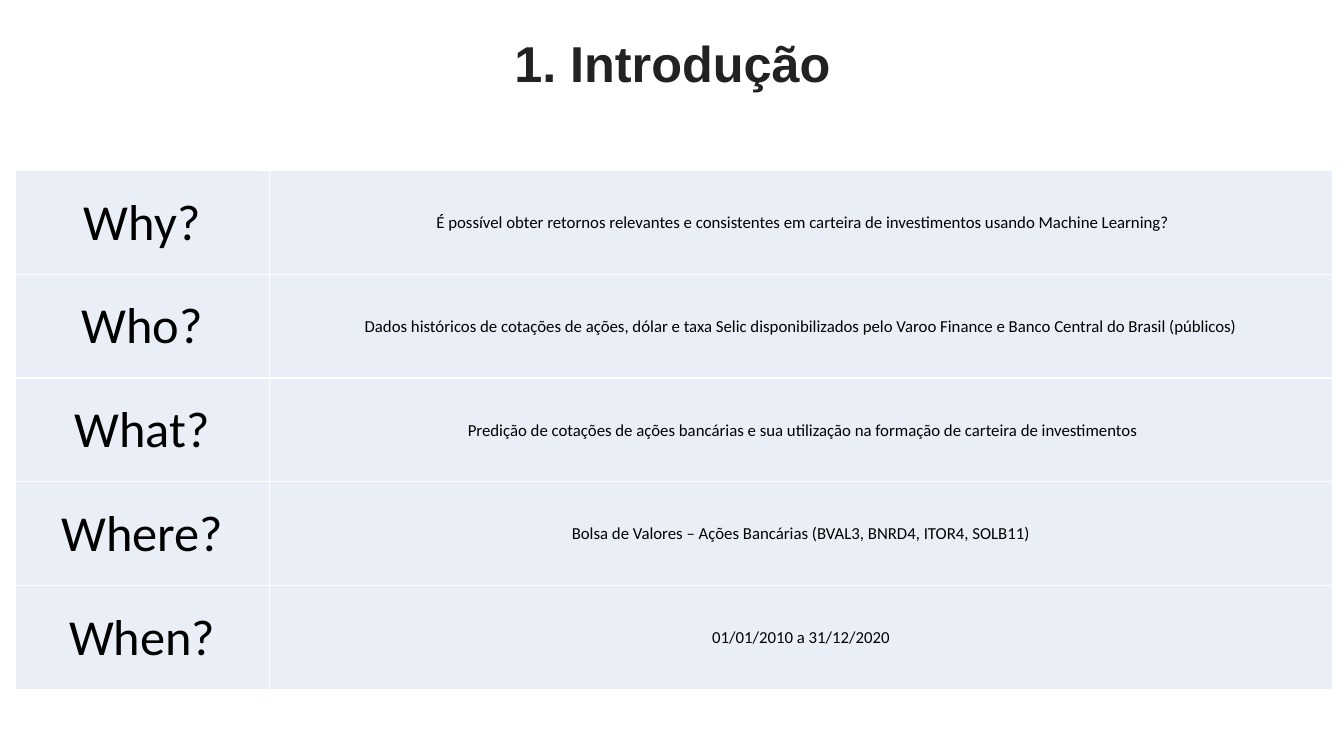
from lxml import etree
from pptx import Presentation
from pptx.dml.color import RGBColor
from pptx.enum.text import MSO_ANCHOR, PP_ALIGN
from pptx.oxml.ns import qn
from pptx.util import Inches, Pt

CENTER = PP_ALIGN.CENTER
MIDDLE = MSO_ANCHOR.MIDDLE
TITLE_ONLY = 5

COLORS = {"title": "222222", "text": "000000", "cell": "EAEFF7", "border": "FFFFFF"}
COLUMN_WIDTHS = (2.52, 10.55)
COLUMN_SIZES = (36, 12)
ROW_HEIGHT = 1.03
QUESTIONS = (
    ("Why?", " É possível obter retornos relevantes e consistentes em carteira "
             "de investimentos usando Machine Learning?"),
    ("Who?", "Dados históricos de cotações de ações, dólar e taxa Selic "
             "disponibilizados pelo Varoo Finance e Banco Central do Brasil (públicos)"),
    ("What?", " Predição de cotações de ações bancárias e sua utilização na "
              "formação de carteira de investimentos"),
    ("Where?", "Bolsa de Valores – Ações Bancárias (BVAL3, BNRD4, ITOR4, SOLB11)"),
    ("When?", "01/01/2010 a 31/12/2020"),
)


def write_run(paragraph, text, font, size, color, bold=False):
    paragraph.alignment = CENTER
    run = paragraph.add_run()
    run.text = text
    run.font.name = font
    run.font.size = Pt(size)
    run.font.bold = bold
    run.font.color.rgb = RGBColor.from_string(COLORS[color])


def add_title(slide, text):
    title = slide.shapes.title
    title.left, title.top = Inches(0.92), Inches(0.11)
    title.width, title.height = Inches(11.5), Inches(1.09)
    title.text_frame.vertical_anchor = MIDDLE
    heading = title.text_frame.paragraphs[0]
    heading.line_spacing = 0.9
    write_run(heading, text, "Arial", 36, "title", bold=True)


def set_borders(cell):
    properties = cell._tc.get_or_add_tcPr()
    for side in ("a:lnL", "a:lnR", "a:lnT", "a:lnB"):
        border = etree.SubElement(properties, qn(side), w=str(Pt(1)))
        fill = etree.SubElement(border, qn("a:solidFill"))
        etree.SubElement(fill, qn("a:srgbClr"), val=COLORS["border"])


def fill_cell(cell, text, size):
    set_borders(cell)
    cell.fill.solid()
    cell.fill.fore_color.rgb = RGBColor.from_string(COLORS["cell"])
    cell.vertical_anchor = MIDDLE
    cell.margin_left = cell.margin_right = cell.margin_top = Inches(0.01)
    cell.margin_bottom = 0
    write_run(cell.text_frame.paragraphs[0], text, "Calibri", size, "text")


def add_question_table(slide):
    table = slide.shapes.add_table(
        len(QUESTIONS), len(COLUMN_WIDTHS), Inches(0.15), Inches(1.69),
        Inches(sum(COLUMN_WIDTHS)), Inches(ROW_HEIGHT * len(QUESTIONS))).table
    table.first_row = False
    table.horz_banding = False
    for column, width in zip(table.columns, COLUMN_WIDTHS):
        column.width = Inches(width)
    for row, texts in zip(table.rows, QUESTIONS):
        row.height = Inches(ROW_HEIGHT)
        for cell, text, size in zip(row.cells, texts, COLUMN_SIZES):
            fill_cell(cell, text, size)


def main():
    presentation = Presentation()
    presentation.slide_width = Inches(13.33)
    presentation.slide_height = Inches(7.5)
    slide = presentation.slides.add_slide(presentation.slide_layouts[TITLE_ONLY])
    add_title(slide, "1. Introdução")
    add_question_table(slide)
    presentation.save("out.pptx")


if __name__ == "__main__":
    main()
